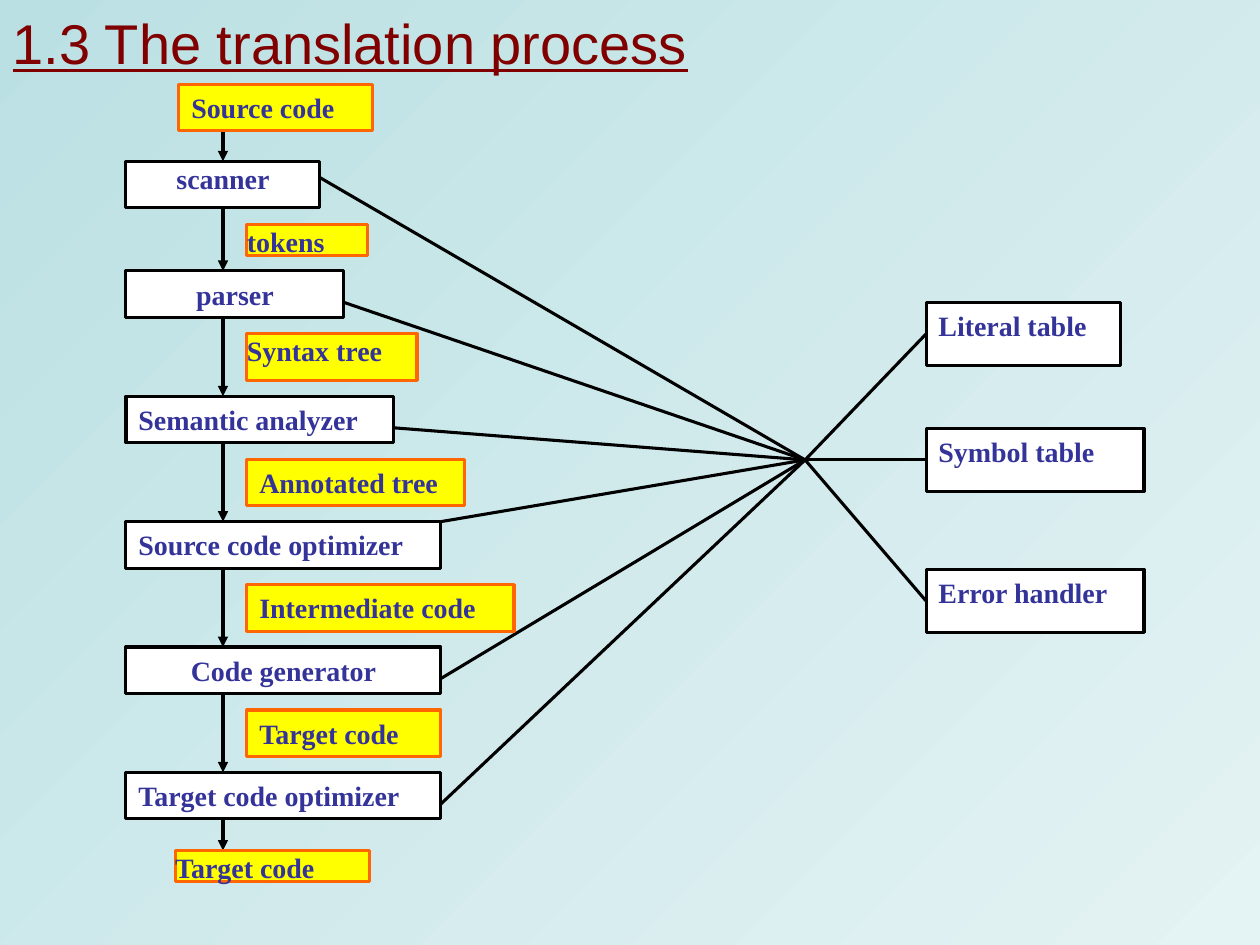
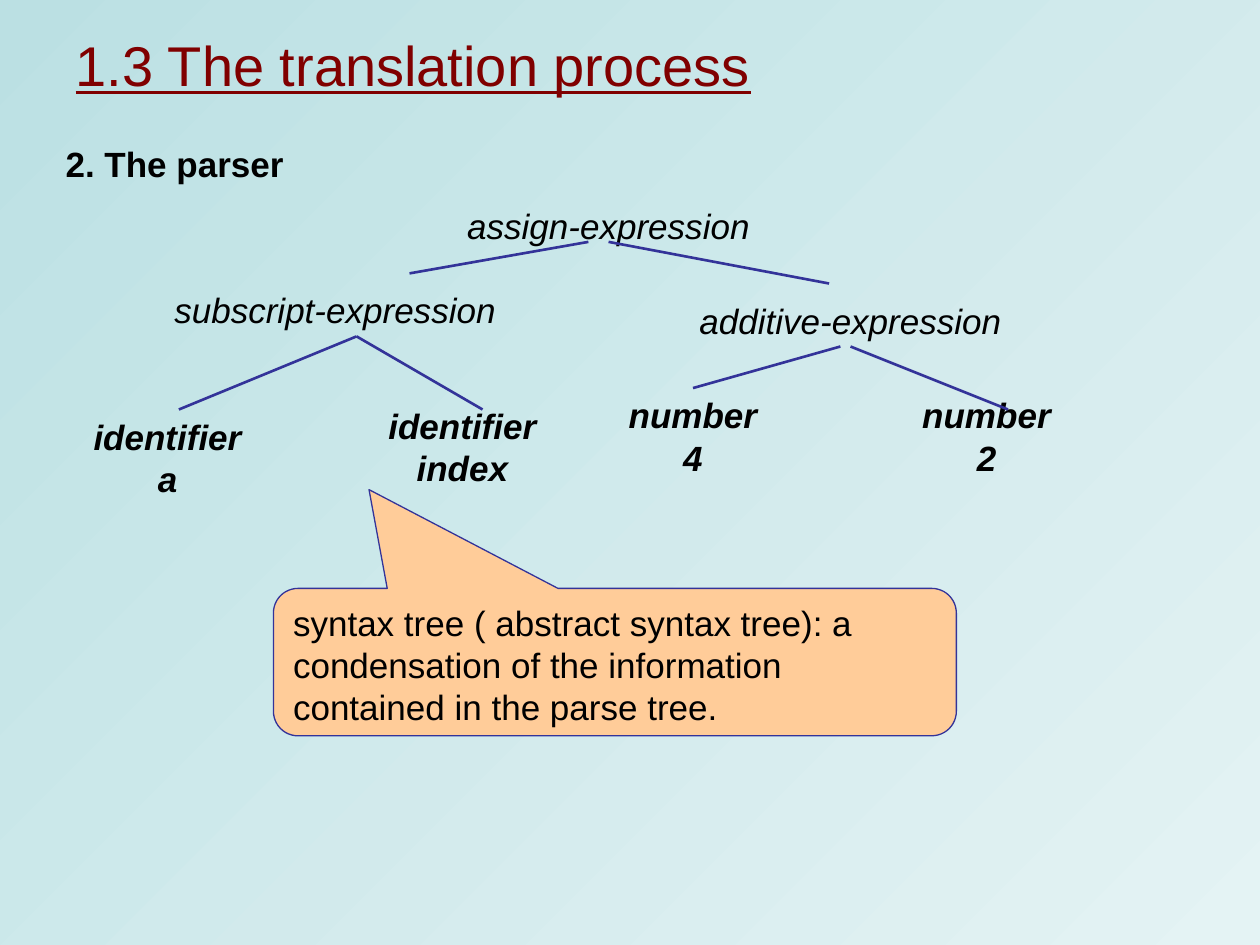
from lxml.etree import SubElement
from pptx import Presentation
from pptx.dml.color import RGBColor
from pptx.enum.shapes import MSO_CONNECTOR, MSO_SHAPE
from pptx.enum.text import MSO_ANCHOR, PP_ALIGN
from pptx.oxml.ns import qn
from pptx.util import Inches, Pt

BLACK = RGBColor(0x00, 0x00, 0x00)
WHITE = RGBColor(0xFF, 0xFF, 0xFF)
MAROON = RGBColor(0x80, 0x00, 0x00)
INDIGO = RGBColor(0x33, 0x33, 0x99)
YELLOW = RGBColor(0xFF, 0xFF, 0x00)
ORANGE = RGBColor(0xFF, 0x66, 0x00)
PEACH = RGBColor(0xFF, 0xCC, 0x99)
TEAL = RGBColor(0xBB, 0xE0, 0xE3)
PALE = RGBColor(0xE4, 0xF3, 0xF4)

SANS, SERIF = "Arial", "Times New Roman"
LEFT, MID, JUST = PP_ALIGN.LEFT, PP_ALIGN.CENTER, PP_ALIGN.JUSTIFY

# Pipeline measures
STAGE_X, FLOW_X, PROD_X = 1, 1.77, 1.96
BOX_H, SLIM_H, TABLE_H = 0.37, 0.25, 0.5
HUB = (6.39, 3.65)

# Stage: text, width, alignment, link drop from the top
STAGES = [
    ("scanner", 1.54, MID, 0.13),
    ("parser", 1.73, MID, 0.25),
    ("Semantic analyzer", 2.12, JUST, 0.25),
    ("Source code optimizer", 2.5, JUST, 0),
    ("Code generator", 2.5, MID, 0.25),
    ("Target code optimizer", 2.5, JUST, 0.25),
]
STAGE_TOPS = [1.28] + [2.15 + 0.995 * i for i in range(5)]

# Product passed on by each stage: text, width, height, has margins
PRODUCTS = [
    ("tokens", 0.96, SLIM_H, False),
    ("Syntax tree", 1.35, BOX_H, False),
    ("Annotated tree", 1.73, BOX_H, True),
    ("Intermediate code", 2.12, BOX_H, True),
    ("Target code", 1.54, BOX_H, True),
]
TABLES = [("Literal table", 2.4, 1.54), ("Symbol table", 3.4, 1.73),
          ("Error handler", 4.52, 1.73)]

# Syntax tree: lines of text, left, top, width
NODES = [
    (["assign-expression"], 3.43, 1.58, 2.8),
    (["subscript-expression"], 1.26, 2.25, 2.8),
    (["additive-expression"], 5.35, 2.33, 2.8),
    (["identifier", "a"], 0.58, 3.42, 1.5),
    (["identifier", "index"], 2.92, 3.33, 1.5),
    (["number", "4"], 4.75, 3.25, 1.5),
    (["number", "2"], 7.08, 3.25, 1.5),
]
EDGES = [
    ((4.67, 1.92), (3.25, 2.17)), ((4.83, 1.92), (6.58, 2.25)),
    ((2.83, 2.67), (1.42, 3.25)), ((2.83, 2.67), (3.83, 3.25)),
    ((6.67, 2.75), (5.5, 3.08)), ((6.75, 2.75), (8, 3.25)),
]


def place(shape, left, top, width, height):
    shape.left, shape.top = Inches(left), Inches(top)
    shape.width, shape.height = Inches(width), Inches(height)


def style(para, size, face, color, align, bold=False, italic=False):
    para.alignment = align
    font = para.font
    font.size, font.name = Pt(size), face
    font.color.rgb = color
    font.bold, font.italic = bold, italic


def add_title(slide, left, top, width):
    title = slide.shapes.title
    place(title, left, top, width, 0.67)
    title.text_frame.text = "1.3 The translation process"
    para = title.text_frame.paragraphs[0]
    style(para, 32, SANS, MAROON, LEFT)
    para.font.underline = True


def add_shape(slide, kind, spot, fill, edge, weight, text, margins=True):
    shape = slide.shapes.add_shape(kind, *map(Inches, spot))
    shape.shadow.inherit = False
    shape.fill.solid()
    shape.fill.fore_color.rgb = fill
    shape.line.color.rgb = edge
    shape.line.width = Pt(weight)
    frame = shape.text_frame
    frame.word_wrap = True
    frame.vertical_anchor = MSO_ANCHOR.TOP
    if not margins:
        frame.margin_left = frame.margin_right = 0
        frame.margin_top = frame.margin_bottom = 0
    frame.text = text
    return shape


def add_box(slide, text, spot, fill=WHITE, edge=BLACK, align=JUST,
            margins=True):
    box = add_shape(slide, MSO_SHAPE.RECTANGLE, spot, fill, edge, 1.75,
                    text, margins)
    style(box.text_frame.paragraphs[0], 16, SERIF, INDIGO, align, bold=True)
    return box


def add_product(slide, text, spot, margins=True):
    return add_box(slide, text, spot, YELLOW, ORANGE, margins=margins)


def add_line(slide, start, end, color=BLACK, weight=1.75, arrow=False):
    line = slide.shapes.add_connector(
        MSO_CONNECTOR.STRAIGHT, *map(Inches, start + end))
    line.line.color.rgb = color
    line.line.width = Pt(weight)
    if arrow:
        SubElement(line.line._get_or_add_ln(), qn("a:tailEnd"),
                   type="triangle")
    SubElement(line._element.spPr, qn("a:effectLst"))
    return line


def add_node(slide, lines, left, top, width):
    box = slide.shapes.add_textbox(
        *map(Inches, (left, top, width, 0.42)))
    frame = box.text_frame
    frame.word_wrap = True
    frame.margin_left = frame.margin_right = 0
    frame.vertical_anchor = MSO_ANCHOR.MIDDLE
    frame.text = "\n".join(lines)
    for para in frame.paragraphs:
        style(para, 20, SANS, BLACK, MID, bold=len(lines) > 1, italic=True)


def set_ground(deck):
    fill = deck.slide_master.background.fill
    fill.gradient()
    fill.gradient_angle = 315
    for stop, color in zip(fill.gradient_stops, (TEAL, PALE)):
        stop.color.rgb = color


def build_flow(deck):
    slide = deck.slides.add_slide(deck.slide_layouts[5])
    add_title(slide, 0, 0, 9)

    # Stages
    boxes = [add_box(slide, text, (STAGE_X, top, width, BOX_H), align=align,
                     margins=text != "scanner")
             for (text, width, align, _), top in zip(STAGES, STAGE_TOPS)]

    # Arrows down the pipeline
    starts = [1.04] + [top + BOX_H for top in STAGE_TOPS]
    arrows = [add_line(slide, (FLOW_X, start), (FLOW_X, end), arrow=True)
              for start, end in zip(starts, STAGE_TOPS + [6.75])]
    arrows[0].end_connect(boxes[0], 0)
    arrows[1].begin_connect(boxes[0], 2)

    # Links from the stages to the hub
    for (_, width, _, drop), top in zip(STAGES, STAGE_TOPS):
        add_line(slide, (STAGE_X + width, top + drop), HUB)

    # Shared tables
    for text, top, width in TABLES:
        box = add_box(slide, text, (7.35, top, width, TABLE_H))
        link = add_line(slide, HUB, (7.35, top + TABLE_H / 2))
        link.end_connect(box, 1)

    # Products
    add_product(slide, "Source code", (1.42, 0.67, 1.54, BOX_H))
    for (text, width, height, margins), top in zip(PRODUCTS, STAGE_TOPS):
        add_product(slide, text, (PROD_X, top + 0.5, width, height), margins)
    add_product(slide, "Target code", (1.39, 6.75, 1.54, SLIM_H), False)


def build_tree(deck):
    slide = deck.slides.add_slide(deck.slide_layouts[1])
    add_title(slide, 0.5, 0.17, 9.33)

    # Heading
    body = slide.placeholders[1]
    place(body, 0.42, 1.08, 9, 4.95)
    body.text_frame.text = "2. The parser"
    para = body.text_frame.paragraphs[0]
    props = para._p.get_or_add_pPr()
    props.set("marL", str(Inches(0.38)))
    props.set("indent", str(-Inches(0.38)))
    para.space_before = Pt(0)
    SubElement(props, qn("a:buNone"))
    style(para, 20, SANS, BLACK, JUST, bold=True)

    # Tree
    for node in NODES:
        add_node(slide, *node)
    for start, end in EDGES:
        add_line(slide, start, end, INDIGO, 1.5)

    # Callout
    note = add_shape(
        slide, MSO_SHAPE.ROUNDED_RECTANGULAR_CALLOUT,
        (2.17, 4.67, 5.42, 1.17), PEACH, INDIGO, 0.75,
        "syntax tree ( abstract syntax tree): a condensation of the "
        "information contained in the parse tree.")
    note.adjustments[0], note.adjustments[1] = -0.36, -1.17
    style(note.text_frame.paragraphs[0], 20, SANS, BLACK, LEFT)


def main():
    deck = Presentation()
    deck.slide_width, deck.slide_height = Inches(10), Inches(7.5)
    set_ground(deck)
    build_flow(deck)
    build_tree(deck)
    deck.save("out.pptx")


if __name__ == "__main__":
    main()
